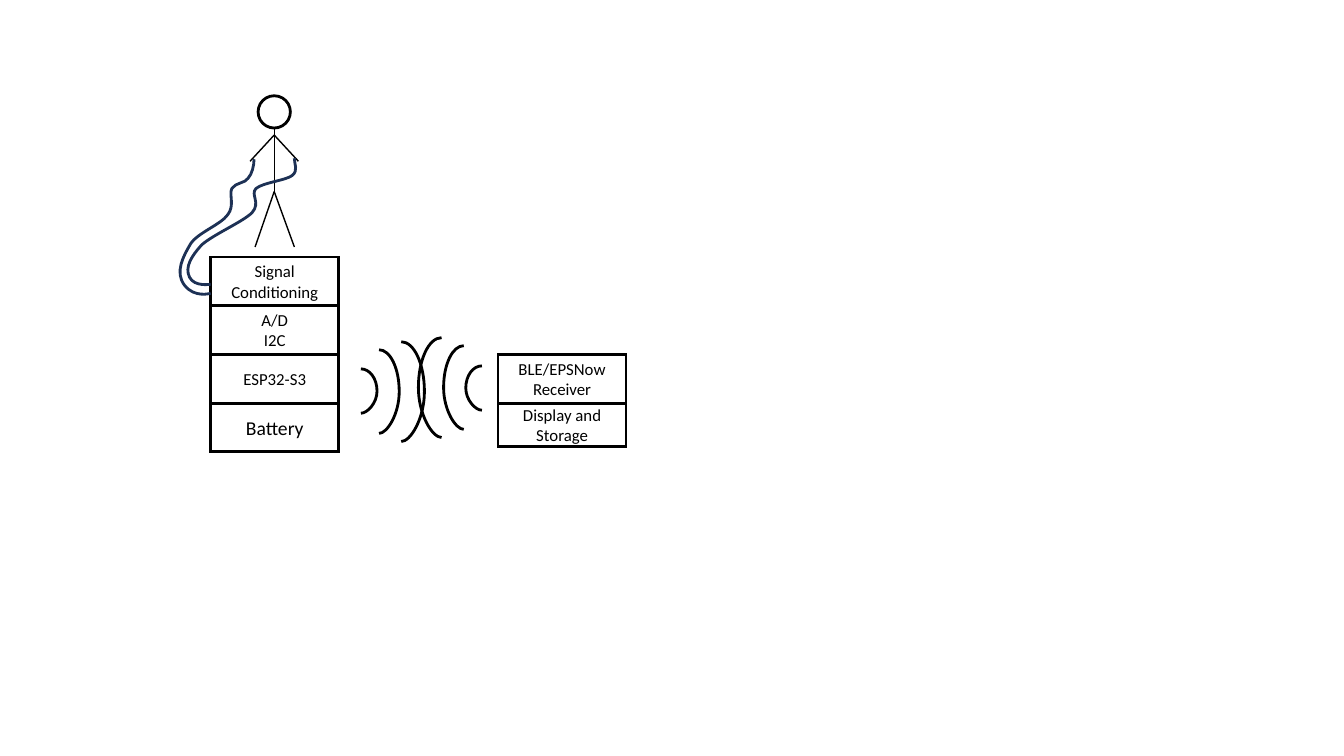
from lxml import etree
from pptx import Presentation
from pptx.dml import color
from pptx.enum import shapes, text
from pptx.oxml import ns
from pptx.util import Inches, Pt

BLACK, WHITE, NAVY, BLUE = "000000", "FFFFFF", "1D3155", "4472C4"
WIDTH, PITCH = 1.27, 1.45 / 3
STEPS = 12


def rgb(code):
    return color.RGBColor.from_string(code)


def style(shape, line=BLACK, fill=None):
    shape.shadow.inherit = False
    shape.line.color.rgb = rgb(line)
    shape.line.width = Pt(2)
    etree.SubElement(shape.line._get_or_add_ln(), ns.qn("a:miter"), lim="800000")
    if fill:
        shape.fill.solid()
        shape.fill.fore_color.rgb = rgb(fill)
    else:
        shape.fill.background()


def box(tree, left, top, height, lines, size=12):
    shape = tree.add_shape(shapes.MSO_SHAPE.RECTANGLE,
                           *map(Inches, (left, top, WIDTH, height)))
    style(shape)
    frame = shape.text_frame
    frame.word_wrap = True
    frame.vertical_anchor = text.MSO_ANCHOR.MIDDLE
    for i, words in enumerate(lines):
        para = frame.add_paragraph() if i else frame.paragraphs[0]
        para.alignment = text.PP_ALIGN.CENTER
        run = para.add_run()
        run.text = words
        for name, value in {"name": "Calibri", "size": Pt(size)}.items():
            setattr(run.font, name, value)
        run.font.color.rgb = rgb(BLACK)


def limb(tree, start, end, code=BLACK, weight=1):
    line = tree.add_connector(shapes.MSO_CONNECTOR.STRAIGHT,
                              *map(Inches, start + end))
    line.line.color.rgb = rgb(code)
    line.line.width = Pt(weight)
    etree.SubElement(line._element.spPr, ns.qn("a:effectLst"))


def bezier(knots, t):
    s = 1 - t
    parts = (s ** 3, 3 * s * s * t, 3 * s * t * t, t ** 3)
    return tuple(Inches(sum(p * k[axis] for p, k in zip(parts, knots)))
                 for axis in (0, 1))


def trace(outline, kind, knots, shape):
    step = etree.SubElement(outline, ns.qn(kind))
    for x, y in knots:
        etree.SubElement(step, ns.qn("a:pt"),
                         x=str(Inches(x) - shape.left),
                         y=str(Inches(y) - shape.top))


def curve(tree, knots, line=BLACK):
    starts = range(0, len(knots) - 1, 3)
    bounds = [bezier(knots[i:i + 4], n / STEPS)
              for i in starts for n in range(1, STEPS + 1)]
    pen = tree.build_freeform(*map(Inches, knots[0]))
    pen.add_line_segments(bounds, close=False)
    shape = pen.convert_to_shape()
    outline = next(shape._element.iter(ns.qn("a:path")))
    for step in list(outline):
        outline.remove(step)
    trace(outline, "a:moveTo", knots[:1], shape)
    for i in starts:
        trace(outline, "a:cubicBezTo", knots[i + 1:i + 4], shape)
    style(shape, line)


def wave(tree, x, y, depth, height):
    arc = [(0, 0), (0.55, 0), (1, 0.22), (1, 0.5),
           (1, 0.77), (0.4, 1), (0, 1)]
    curve(tree, [(x + depth * u, y + height * v) for u, v in arc])


def figure(tree):
    head = tree.add_shape(shapes.MSO_SHAPE.OVAL,
                          *map(Inches, (2.56, 0.95, 0.32, 0.32)))
    style(head, fill=WHITE)
    chin, neck, hip = (2.72, 1.27), (2.72, 1.34), (2.72, 1.9)
    limb(tree, chin, chin, BLUE, 0.75)
    limb(tree, chin, hip)
    for foot in (2.92, 2.53):
        limb(tree, (foot, 2.45), hip)
    for hand in (2.96, 2.48):
        limb(tree, (hand, 1.6), neck)


def radio(tree):
    sizes = [(0.16, 0.44), (0.2, 0.83), (0.23, 0.99)]
    sender = [(3.58, 3.66), (3.76, 3.47), (3.98, 3.39)]
    taker = [(4.78, 3.63), (4.6, 3.43), (4.38, 3.35)]
    for side, spots in ((1, sender), (-1, taker)):
        group = tree.add_group_shape().shapes
        for (x, y), (depth, height) in zip(spots, sizes):
            wave(group, x, y, side * depth, height)


def wires(tree):
    left = [(2.52, 1.58), (2.52, 1.64), (2.5, 1.73), (2.46, 1.77),
            (2.43, 1.82), (2.34, 1.81), (2.3, 1.87),
            (2.27, 1.93), (2.33, 2.04), (2.26, 2.13),
            (2.19, 2.23), (1.96, 2.31), (1.89, 2.42),
            (1.82, 2.54), (1.73, 2.7), (1.83, 2.83),
            (1.93, 2.96), (2.09, 2.91), (2.09, 2.91)]
    right = [(2.92, 1.57), (2.92, 1.63), (2.96, 1.69), (2.9, 1.74),
             (2.84, 1.79), (2.61, 1.81), (2.54, 1.87),
             (2.48, 1.93), (2.59, 2.01), (2.5, 2.11),
             (2.41, 2.2), (2.11, 2.33), (2, 2.43),
             (1.9, 2.54), (1.83, 2.65), (1.88, 2.75),
             (1.93, 2.85), (2.09, 2.82), (2.09, 2.82)]
    for knots in (left, right):
        curve(tree, knots, NAVY)


def main():
    deck = Presentation()
    deck.slide_width, deck.slide_height = Inches(13.33), Inches(7.5)
    tree = deck.slides.add_slide(deck.slide_layouts[6]).shapes
    figure(tree)
    stack = [["Signal", "Conditioning"], ["A/D", "I2C"], ["ESP32-S3"]]
    for i, lines in enumerate(stack):
        box(tree, 2.09, 2.55 + i * PITCH, PITCH, lines)
    radio(tree)
    box(tree, 4.94, 3.52, 0.48, ["BLE/EPSNow", "Receiver"])
    box(tree, 4.94, 4, 0.43, ["Display and Storage"])
    wires(tree)
    box(tree, 2.09, 4, PITCH, ["Battery"], 14)
    deck.save("out.pptx")


if __name__ == "__main__":
    main()
